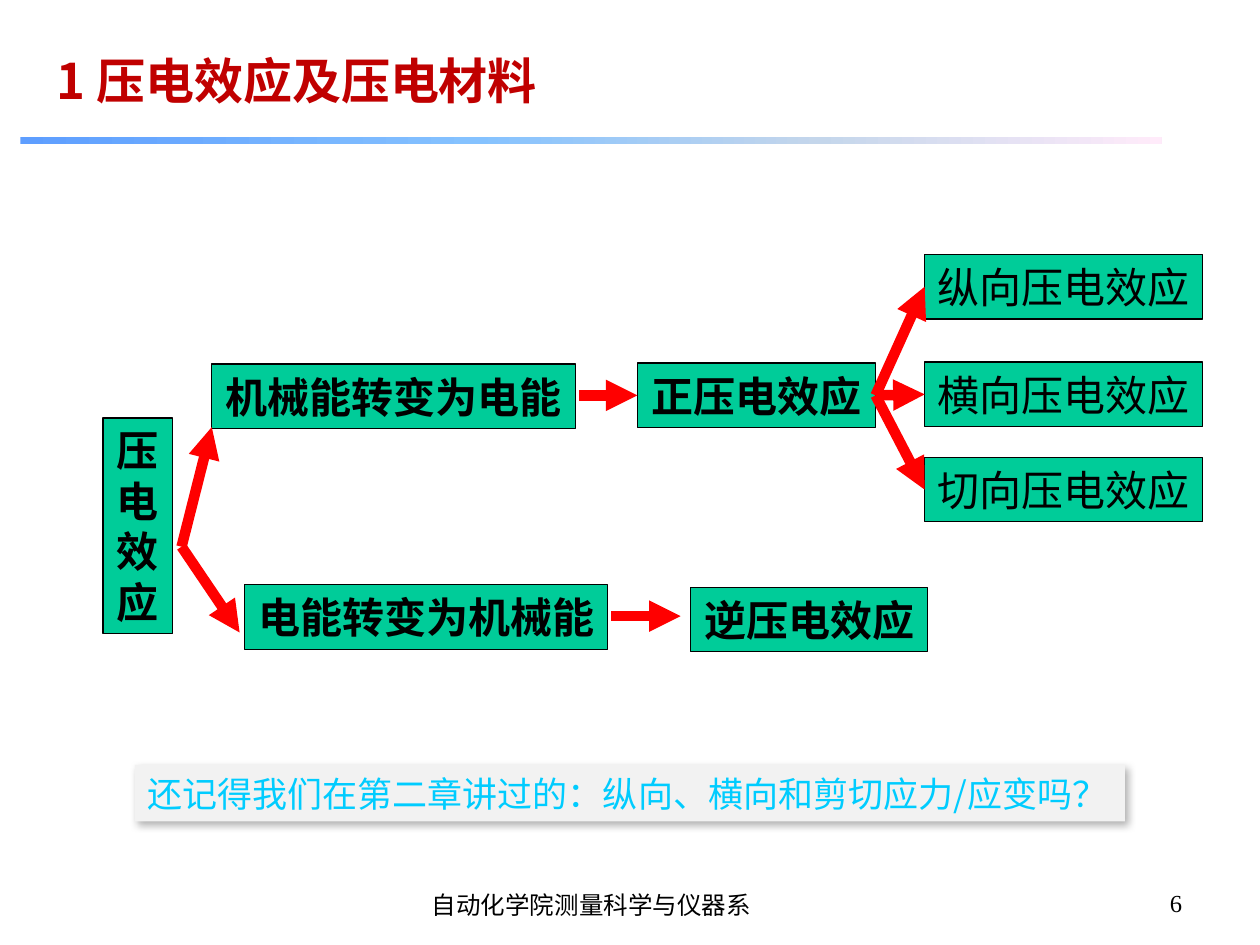
import pptx
import pptx.util
import pptx.oxml
import pptx.oxml.ns
import pptx.dml.color
import pptx.enum.shapes
import pptx.enum.text
from lxml import etree

Cm, Pt = pptx.util.Cm, pptx.util.Pt
RGB = pptx.dml.color.RGBColor
ALIGN = pptx.enum.text.PP_ALIGN
ANCHOR = pptx.enum.text.MSO_ANCHOR
RECT = pptx.enum.shapes.MSO_SHAPE.RECTANGLE
qn = pptx.oxml.ns.qn
NS = pptx.oxml.ns.nsdecls("a")

BLACK = RGB(0x00, 0x00, 0x00)
GREEN = RGB(0x00, 0xCC, 0x99)
RED = RGB(0xFF, 0x00, 0x00)
DARK_RED = RGB(0xC0, 0x00, 0x00)
CYAN = RGB(0x00, 0xCC, 0xFF)
GREY = RGB(0xF2, 0xF2, 0xF2)
GRADIENT = [
    (0, RGB(0x5E, 0x9E, 0xFF)),
    (40, RGB(0x85, 0xC2, 0xFF)),
    (70, RGB(0xC4, 0xD6, 0xEB)),
    (100, RGB(0xFF, 0xEB, 0xFA)),
]
SANS, SERIF = "Noto Sans CJK SC", "Times New Roman"
BOX_H = 1.3

BOXES = {
    "root": ("压\n电\n效\n应", 2.08, 8.43, 1.4, 4.34, True),
    "to_electric": ("机械能转变为电能", 4.27, 7.34, 7.34, BOX_H, True),
    "to_mechanical": ("电能转变为机械能", 4.93, 11.79, 7.32, BOX_H, True),
    "direct": ("正压电效应", 12.85, 7.32, 4.8, BOX_H, True),
    "inverse": ("逆压电效应", 13.92, 11.84, 4.78, BOX_H, True),
    "longitudinal": ("纵向压电效应", 18.64, 5.13, 5.61, BOX_H, False),
    "transverse": ("横向压电效应", 18.64, 7.3, 5.61, BOX_H, False),
    "shear": ("切向压电效应", 18.64, 9.22, 5.61, BOX_H, False),
}
ARROWS = [
    (3.66, 11.02, 4.27, 8.61),
    (3.66, 11.02, 4.83, 12.75),
    (12.32, 12.42, 13.72, 12.42),
    (11.68, 7.97, 12.85, 7.97),
]
BRANCHES = ["longitudinal", "transverse", "shear"]


def set_text(sp, text, size=24, font=SANS, color=BLACK, bold=False,
             align=ALIGN.CENTER, anchor=ANCHOR.MIDDLE, wrap=True, leading=None):
    tf = sp.text_frame
    tf.word_wrap = wrap
    tf.vertical_anchor = anchor
    for i, line in enumerate(text.split("\n")):
        p = tf.add_paragraph() if i else tf.paragraphs[0]
        p.alignment = align
        if leading:
            p.line_spacing = leading
        r = p.add_run()
        r.text = line
        r.font.size = Pt(size)
        r.font.name = font
        r.font.bold = bold
        r.font.color.rgb = color
        etree.SubElement(r.font._element, qn("a:ea")).set("typeface", SANS)


def add_rect(s, x, y, w, h, fill=None, line=None):
    sp = s.shapes.add_shape(RECT, Cm(x), Cm(y), Cm(w), Cm(h))
    sp.shadow.inherit = False
    if fill is not None:
        sp.fill.solid()
        sp.fill.fore_color.rgb = fill
    if line is None:
        sp.line.fill.background()
    else:
        sp.line.color.rgb = line
        sp.line.width = Pt(0.75)
    return sp


def add_arrow(s, x1, y1, x2, y2):
    cx = s.shapes.add_connector(
        pptx.enum.shapes.MSO_CONNECTOR.STRAIGHT, Cm(x1), Cm(y1), Cm(x2), Cm(y2))
    cx.line.color.rgb = RED
    cx.line.width = Pt(6)
    etree.SubElement(cx.line._get_or_add_ln(), qn("a:tailEnd")).set("type", "triangle")
    etree.SubElement(cx._element.spPr, qn("a:effectLst"))
    return cx


def add_label(s, text, x, y, w, h, **fmt):
    set_text(s.shapes.add_textbox(Cm(x), Cm(y), Cm(w), Cm(h)), text, **fmt)


def add_divider(s):
    sp = add_rect(s, 0.41, 2.77, 23.01, 0.13)
    stops = "".join(
        f'<a:gs pos="{pos * 1000}"><a:srgbClr val="{color}"/></a:gs>'
        for pos, color in GRADIENT)
    grad = pptx.oxml.parse_xml(
        f'<a:gradFill {NS}><a:gsLst>{stops}</a:gsLst>'
        '<a:lin ang="0" scaled="0"/></a:gradFill>')
    sp._element.spPr.find(qn("a:prstGeom")).addnext(grad)


def add_question(s):
    sp = add_rect(s, 2.72, 15.42, 19.96, 1.14, fill=GREY)
    sp._element.spPr.find(qn("a:effectLst")).append(pptx.oxml.parse_xml(
        f'<a:outerShdw {NS} blurRad="{Pt(4.5)}" dist="{Pt(2.6)}" dir="{53 * 60000}" '
        f'algn="tl" rotWithShape="0"><a:srgbClr val="{BLACK}">'
        '<a:alpha val="30000"/></a:srgbClr></a:outerShdw>'))
    set_text(sp, "还记得我们在第二章讲过的：纵向、横向和剪切应力/应变吗？",
             size=20, color=CYAN, align=ALIGN.JUSTIFY)


def main():
    prs = pptx.Presentation()
    prs.slide_width, prs.slide_height = Cm(25.4), Cm(19.05)
    s = prs.slides.add_slide(prs.slide_layouts[6])

    nodes = {}
    for name, (text, x, y, w, h, bold) in BOXES.items():
        nodes[name] = add_rect(s, x, y, w, h, fill=GREEN, line=BLACK)
        set_text(nodes[name], text, bold=bold, wrap=False, leading=Pt(28.8))

    arrows = [add_arrow(s, *ends) for ends in ARROWS]
    arrows[-1].end_connect(nodes["direct"], 1)
    for name in BRANCHES:
        cx = add_arrow(s, 0, 0, 1, 1)
        cx.begin_connect(nodes["direct"], 3)
        cx.end_connect(nodes[name], 1)

    add_divider(s)
    add_label(s, "自动化学院测量科学与仪器系", 7.9, 17.81, 8.05, 1.02,
              size=14, font=SERIF, anchor=ANCHOR.TOP)
    add_label(s, "6", 23.01, 17.78, 1.07, 1.27,
              size=14, font=SERIF, align=ALIGN.RIGHT, anchor=ANCHOR.TOP)
    add_label(s, "1 压电效应及压电材料", 0.89, 0.53, 14.99, 2.18,
              size=28, color=DARK_RED, bold=True, align=ALIGN.LEFT)
    add_question(s)
    prs.save("out.pptx")


if __name__ == "__main__":
    main()
